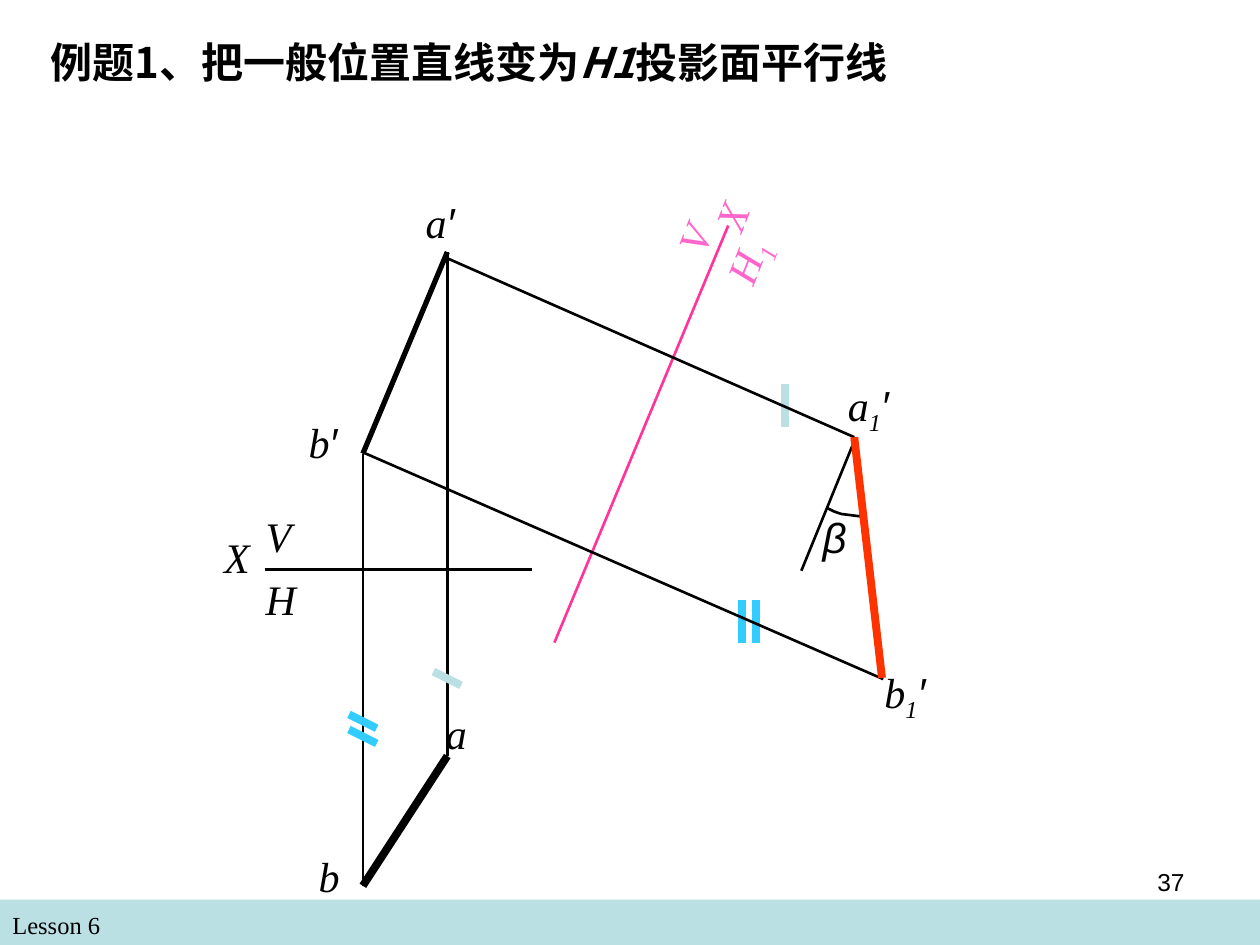
from dataclasses import dataclass
from lxml import etree
from pptx import Presentation, util as u
from pptx.dml.color import RGBColor
from pptx.enum import shapes, text
from pptx.oxml.ns import qn


@dataclass(frozen=True)
class Theme:
    ink: str = "000000"
    pale: str = "BBE0E3"
    blue: str = "33CCFF"
    pink: str = "FF3399"
    rose: str = "FF66CC"
    red: str = "FF3300"
    serif: str = "Times New Roman"
    sans: str = "Arial"
    han: str = "Noto Sans CJK SC"
    big: int = 24
    small: int = 14
    thin: float = 1.5
    mid: float = 3
    thick: float = 4.5
    tilt: float = 291.2


T = Theme()
WIDE, HIGH = u.Inches(10), u.Inches(7.5)
COLS, ROWS = 100, 75


def spot(box, point):
    return (round((box[0] + point[0]) * WIDE / COLS),
            round((box[1] + point[1]) * HIGH / ROWS))


def area(box, part):
    return (*spot(box, part), *spot((0, 0), part[2:]))


def style(run, size, face, tint=T.ink, bold=False, slant=False):
    font = run.font
    font.size, font.name = u.Pt(size), face
    font.bold, font.italic = bold, slant
    font.color.rgb = RGBColor.from_string(tint)


def pen(shape, tint, width):
    shape.line.color.rgb = RGBColor.from_string(tint)
    shape.line.width = u.Pt(width)


def line(slide, box, start, end, tint=T.ink, width=T.thin):
    link = slide.shapes.add_connector(
        shapes.MSO_CONNECTOR.STRAIGHT, *spot(box, start), *spot(box, end))
    pen(link, tint, width)
    etree.SubElement(link._element.spPr, qn("a:effectLst"))


def trace(slide, box, points, tint, width):
    first, *rest = [spot(box, point) for point in points]
    form = slide.shapes.build_freeform(*first)
    form.add_line_segments(rest, close=False)
    shape = form.convert_to_shape()
    shape.fill.background()
    shape.shadow.inherit = False
    pen(shape, tint, width)


def note(slide, box, part, words, size, face, align=text.PP_ALIGN.LEFT):
    frame = slide.shapes.add_textbox(*area(box, part)).text_frame
    frame.word_wrap = True
    para = frame.paragraphs[0]
    para.text, para.alignment = words, align
    style(para.runs[0], size, face)


def label(slide, box, part, name, tint=T.ink, turn=0):
    shape = slide.shapes.add_textbox(*area(box, part))
    shape.rotation = turn
    frame = shape.text_frame
    frame.word_wrap = True
    for sign in name:
        run = frame.paragraphs[0].add_run()
        run.text = sign
        style(run, T.big, T.sans if sign in "′β" else T.serif, tint, slant=True)
        if sign.isdigit():
            run.font._element.set("baseline", "-25000")


def footer(slide, box):
    bar = slide.shapes.add_shape(
        shapes.MSO_SHAPE.RECTANGLE, *area(box, (0, 0, *box[2:])))
    bar.fill.solid()
    bar.fill.fore_color.rgb = RGBColor.from_string(T.pale)
    bar.line.fill.background()
    bar.shadow.inherit = False
    note(slide, box, (0, 0.3, 48.3, 3.4), "Lesson 6", T.small, T.serif)
    note(slide, box, (71.7, -3.1, 23.3, 5.2), "37", T.small, T.sans,
         text.PP_ALIGN.RIGHT)


def heading(slide, box):
    title = slide.shapes.title
    title.left, title.top, title.width, title.height = area(
        box, (0, 0, *box[2:]))
    frame = title.text_frame
    frame.word_wrap = True
    frame.auto_size = text.MSO_AUTO_SIZE.NONE
    frame.vertical_anchor = text.MSO_ANCHOR.TOP
    para = frame.paragraphs[0]
    para.alignment = text.PP_ALIGN.LEFT
    para.space_before = u.Pt(0)
    para.line_spacing = 1.0
    for words in ("例题1、把一般位置直线变为", "H1", "投影面平行线"):
        run = para.add_run()
        run.text = words
        style(run, T.big, T.han, bold=True, slant=words == "H1")
        east = etree.SubElement(run.font._element, qn("a:ea"))
        east.set("typeface", T.han)


def views(slide, box):
    top_a, top_b = (19.5, 5), (12.8, 21)
    low_a, low_b = (19.5, 45), (12.8, 55.3)
    line(slide, box, (5, 30.2), (26.2, 30.2))
    line(slide, box, low_b, top_b)
    line(slide, box, low_a, top_a)
    line(slide, box, top_b, top_a, width=T.mid)
    line(slide, box, low_b, low_a, width=T.thick)
    for name, left, top in (
            ("b′", 7.5, 17.6), ("a′", 16.8, 0.1), ("b", 8.3, 52),
            ("a", 18.4, 40.7), ("X", 0.8, 26.7), ("H", 4.1, 30),
            ("V", 4.1, 25)):
        label(slide, box, (left, top, 8.9, 5), name)


def ticks(slide, box):
    down, lean = (0, 3.4), (2.2, 1.1)
    for left, top, step, tint in (
            (33, 17.6, down, T.blue), (31.9, 17.6, down, T.blue),
            (35.3, 0.5, down, T.pale), (7.4, 23.3, lean, T.pale),
            (0.7, 27.9, lean, T.blue), (0.7, 26.7, lean, T.blue)):
        line(slide, box, (left, top), (left + step[0], top + step[1]),
             tint, T.thick)


def axis(slide, box):
    line(slide, box, (0, 38), (13.8, 4.9), T.pink)
    for name, part in (("X", (11.1, 0.4, 6.8, 5)),
                       ("H1", (11.7, 3.5, 8.7, 5.6)),
                       ("V", (8.5, 2.6, 5.7, 5))):
        label(slide, box, part, name, T.rose, T.tilt)


def result(slide, box):
    new_a, new_b = (39.8, 14.7), (42.1, 33.9)
    line(slide, box, new_b, (0.8, 15.9))
    line(slide, box, new_a, (7.5, 0.5))
    label(slide, box, (38.3, 9.6, 7.8, 5.6), "a1′")
    label(slide, box, (41.2, 32.4, 7.8, 5.6), "b1′")
    line(slide, box, (39.8, 15), (35.6, 25.3))
    arc = [(40.4, 21), (39.6, 20.9), (38.8, 20.8), (38.2, 20.6), (37.6, 20.3)]
    trace(slide, box, arc, T.ink, T.thin)
    label(slide, box, (36.3, 20.1, 3.8, 5), "β")
    trace(slide, box, [(42, 33.8), new_a], T.red, T.thick)


def main():
    deck = Presentation()
    deck.slide_width, deck.slide_height = WIDE, HIGH
    slide = deck.slides.add_slide(deck.slide_layouts[5])
    heading(slide, (3, 2.4, 73.5, 5))
    footer(slide, (0, 71.4, 100, 3.6))
    views(slide, (16, 15))
    ticks(slide, (27, 30))
    axis(slide, (44, 13))
    result(slide, (28, 20))
    deck.save("out.pptx")


if __name__ == "__main__":
    main()
